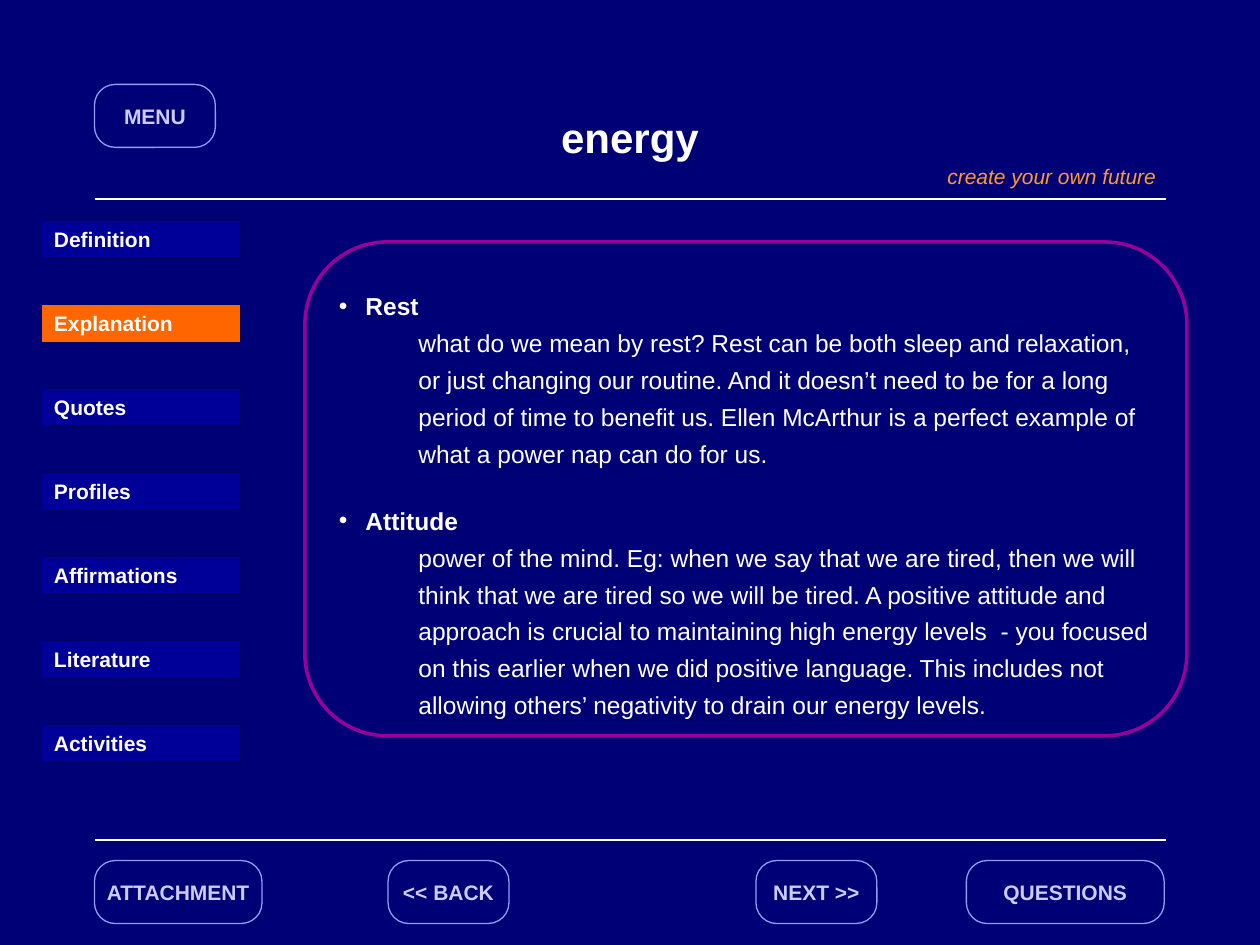
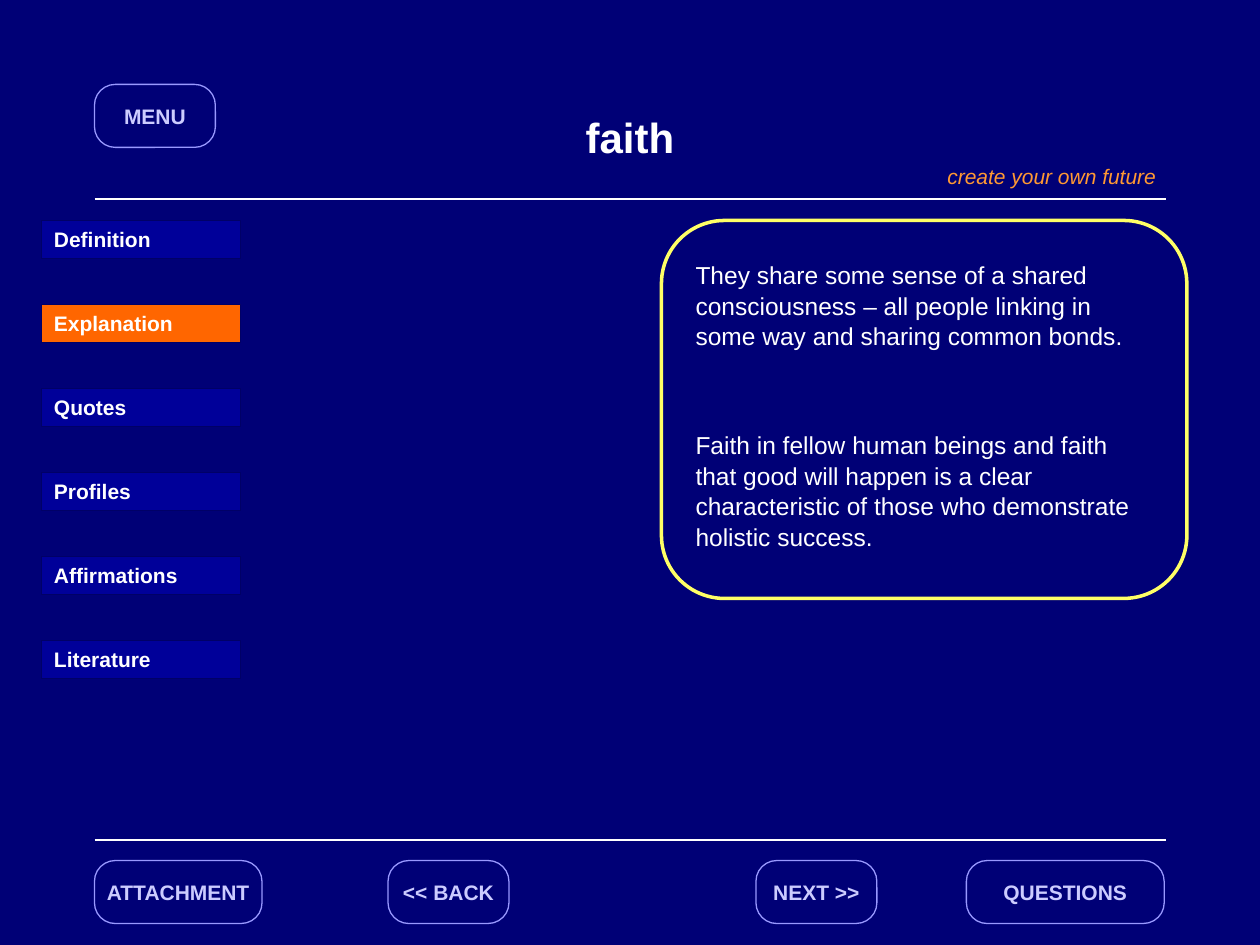
import dataclasses
import typing

import lxml.etree
import pptx
import pptx.dml.color
import pptx.enum.shapes
import pptx.enum.text
import pptx.oxml.ns
import pptx.util

Inches = pptx.util.Inches
Pt = pptx.util.Pt
ALIGN = pptx.enum.text.PP_ALIGN
ANCHOR = pptx.enum.text.MSO_ANCHOR
FIT = pptx.enum.text.MSO_AUTO_SIZE
SHAPE = pptx.enum.shapes.MSO_SHAPE


@dataclasses.dataclass(frozen=True)
class Theme:
    font: str = "Arial"
    background: str = "000076"
    text: str = "FFFFFF"
    tab: str = "000099"
    tab_active: str = "FF6600"
    tab_edge: str = "000066"
    button_text: str = "CCCCFF"
    button_edge: str = "9999FF"
    motto: str = "FF9933"
    energy: str = "990099"
    faith: str = "FFFF66"
    title_size: float = 24
    body_size: float = 14
    label_size: float = 12
    body_leading: float = 1.05
    body_gap: float = 3.5


class Box(typing.NamedTuple):
    left: float
    top: float
    width: float
    height: float

    def emu(self):
        return [Inches(length) for length in self]


THEME = Theme()
HEADER = Box(0.75, 0.67, 8.5, 0.91)
FOOTER = Box(0.75, 6.67, 8.5, 0.66)
TABS = Box(0.33, 1.75, 1.58, 0.3)
TAB_PITCH = 2 / 3
BUTTON_WIDTH, BUTTON_HEIGHT = 0.96, 0.5
TOPICS = ["Definition", "Explanation", "Quotes", "Profiles",
          "Affirmations", "Literature", "Activities"]

REST = [
    "what do we mean by rest? Rest can be both sleep and relaxation,",
    "or just changing our routine. And it doesn’t need to be for a long",
    "period of time to benefit us. Ellen McArthur is a perfect example of",
    "what a power nap can do for us.",
]
ATTITUDE = [
    "power of the mind. Eg: when we say that we are tired, then we will",
    "think that we are tired so we will be tired. A positive attitude and",
    "approach is crucial to maintaining high energy levels  - you focused",
    "on this earlier when we did positive language. This includes not",
    "allowing others’ negativity to drain our energy levels.",
]
FAITH = [
    "They share some sense of a shared consciousness – all people linking "
    "in some way and sharing common bonds.",
    "Faith in fellow human beings and faith that good will happen is a clear "
    "characteristic of those who demonstrate holistic success.",
]


def rgb(value):
    return pptx.dml.color.RGBColor.from_string(value)


def style(paragraph, size, color, bold=False, italic=False, align=ALIGN.LEFT):
    paragraph.alignment = align
    font = paragraph.font
    font.name = THEME.font
    font.size = Pt(size)
    font.bold = bold
    font.italic = italic
    font.color.rgb = rgb(color)


def place(part, box):
    part.left, part.top, part.width, part.height = box.emu()


def outlined(slide, preset, box, edge, weight, fill=None):
    shape = slide.shapes.add_shape(preset, *box.emu())
    shape.shadow.inherit = False
    if fill:
        shape.fill.solid()
        shape.fill.fore_color.rgb = rgb(fill)
    else:
        shape.fill.background()
    shape.line.color.rgb = rgb(edge)
    shape.line.width = Pt(weight)
    return shape


def add_button(slide, label, left, top, width=BUTTON_WIDTH):
    button = outlined(slide, SHAPE.ROUNDED_RECTANGLE,
                      Box(left, top, width, BUTTON_HEIGHT),
                      THEME.button_edge, 0.75, THEME.background)
    button.adjustments[0] = 0.33
    frame = button.text_frame
    frame.word_wrap = False
    frame.vertical_anchor = ANCHOR.MIDDLE
    frame.text = label
    style(frame.paragraphs[0], THEME.label_size, THEME.button_text,
          bold=True, align=ALIGN.CENTER)


def add_rule(slide, box, y):
    rule = slide.shapes.add_connector(
        pptx.enum.shapes.MSO_CONNECTOR.STRAIGHT,
        Inches(box.left), Inches(y), Inches(box.left + box.width), Inches(y))
    rule.line.color.rgb = rgb(THEME.text)
    rule.line.width = Pt(1.25)
    lxml.etree.SubElement(rule.element.spPr, pptx.oxml.ns.qn("a:effectLst"))


def add_motto(slide, box):
    motto = slide.shapes.add_textbox(
        *Box(box.left + 6.67, box.top + 0.58, 1.92, 0.3).emu())
    frame = motto.text_frame
    frame.word_wrap = True
    frame.auto_size = FIT.SHAPE_TO_FIT_TEXT
    frame.text = "create your own future"
    frame.paragraphs[0].space_before = Pt(7.5)
    style(frame.paragraphs[0], THEME.label_size, THEME.motto, italic=True)


def add_shared_frame(slide):
    add_rule(slide, HEADER, HEADER.top + HEADER.height)
    add_rule(slide, FOOTER, FOOTER.top)
    add_motto(slide, HEADER)
    button_top = FOOTER.top + 0.16
    add_button(slide, "<< BACK", FOOTER.left + 2.33, button_top)
    add_button(slide, "NEXT >>", FOOTER.left + 5.25, button_top)
    add_button(slide, "QUESTIONS", FOOTER.left + 6.92, button_top, 1.57)


def prepare_layout(deck):
    background = deck.slide_master.background.fill
    background.solid()
    background.fore_color.rgb = rgb(THEME.background)
    layout = deck.slide_layouts[1]
    for placeholder in list(layout.placeholders):
        if placeholder.placeholder_format.idx > 1:
            placeholder.element.getparent().remove(placeholder.element)
    return layout


def move_to_layout(slide, layout):
    for shape in list(slide.shapes):
        if not shape.is_placeholder:
            layout.shapes.element.append(shape.element)


def fill_title(slide, text, box):
    title = slide.shapes.title
    place(title, Box(box.left, box.top, box.width, 0.83))
    frame = title.text_frame
    frame.auto_size = FIT.NONE
    frame.vertical_anchor = ANCHOR.MIDDLE
    frame.text = text
    style(frame.paragraphs[0], THEME.title_size, THEME.text,
          bold=True, align=ALIGN.CENTER)


def set_bullet(paragraph, margin, indent, bullet):
    props = paragraph._p.get_or_add_pPr()
    props.set("marL", str(Inches(margin)))
    props.set("indent", str(Inches(indent)))
    qn = pptx.oxml.ns.qn
    if bullet:
        color = lxml.etree.SubElement(props, qn("a:buClr"))
        lxml.etree.SubElement(color, qn("a:srgbClr"), val=THEME.text)
        lxml.etree.SubElement(props, qn("a:buFont"), typeface=THEME.font)
        lxml.etree.SubElement(props, qn("a:buChar"), char="•")
    else:
        lxml.etree.SubElement(props, qn("a:buNone"))


def start_body(slide, box):
    body = slide.placeholders[1]
    place(body, box)
    frame = body.text_frame
    frame.word_wrap = True
    frame.auto_size = FIT.NONE
    frame.vertical_anchor = ANCHOR.TOP
    return frame


def add_body_line(frame, text, gap=THEME.body_gap, level=0, margin=0,
                  indent=0, heading=False):
    first = frame.paragraphs[0]
    line = frame.add_paragraph() if first.runs else first
    line.add_run().text = text
    line.level = level
    line.line_spacing = THEME.body_leading
    line.space_before = Pt(gap)
    set_bullet(line, margin, indent, heading)
    style(line, THEME.body_size, THEME.text, bold=heading)


def fill_sections(slide, sections, box, section_gap):
    frame = start_body(slide, box)
    for heading, lines in sections.items():
        add_body_line(frame, heading, section_gap, margin=0.21, indent=-0.21,
                      heading=True)
        for line in lines:
            add_body_line(frame, line, level=1, margin=0.94, indent=-0.31)


def fill_statements(slide, statements, box, statement_gap):
    frame = start_body(slide, box)
    for statement in statements:
        add_body_line(frame, statement, statement_gap)


def add_tabs(slide, topics, active, box):
    for row, topic in enumerate(topics):
        fill = THEME.tab_active if topic == active else THEME.tab
        tab = outlined(slide, SHAPE.RECTANGLE,
                       box._replace(top=box.top + row * TAB_PITCH),
                       THEME.tab_edge, 0.75, fill)
        frame = tab.text_frame
        frame.word_wrap = True
        frame.auto_size = FIT.SHAPE_TO_FIT_TEXT
        frame.vertical_anchor = ANCHOR.TOP
        frame.text = topic
        frame.paragraphs[0].space_before = Pt(7.5)
        style(frame.paragraphs[0], THEME.label_size, THEME.text, bold=True)


def add_topic_parts(slide, title, topics, panel, panel_color):
    fill_title(slide, title, HEADER)
    add_tabs(slide, topics, "Explanation", TABS)
    add_button(slide, "ATTACHMENT", FOOTER.left, FOOTER.top + 0.16, 1.33)
    outlined(slide, SHAPE.ROUNDED_RECTANGLE, panel, panel_color, 2)
    add_button(slide, "MENU", HEADER.left, HEADER.top)


def body_box(panel, inset):
    top = panel.top + inset
    return Box(panel.left + 0.17, top, panel.width - 0.33, 6.5 - top)


def build_energy(slide):
    panel = Box(2.42, 1.92, 7, 3.92)
    add_topic_parts(slide, "energy", TOPICS, panel, THEME.energy)
    fill_sections(slide, {"Rest": REST, "Attitude": ATTITUDE},
                  body_box(panel, 0.33), 20.4)


def build_faith(slide):
    panel = Box(5.25, 1.75, 4.17, 3)
    add_topic_parts(slide, "faith", TOPICS[:-1], panel, THEME.faith)
    fill_statements(slide, FAITH, body_box(panel, 0.25), 44.2)


def main():
    deck = pptx.Presentation()
    deck.slide_width, deck.slide_height = Inches(10), Inches(7.5)
    layout = prepare_layout(deck)
    energy = deck.slides.add_slide(layout)
    add_shared_frame(energy)
    move_to_layout(energy, layout)
    build_energy(energy)
    build_faith(deck.slides.add_slide(layout))
    deck.save("out.pptx")


if __name__ == "__main__":
    main()
